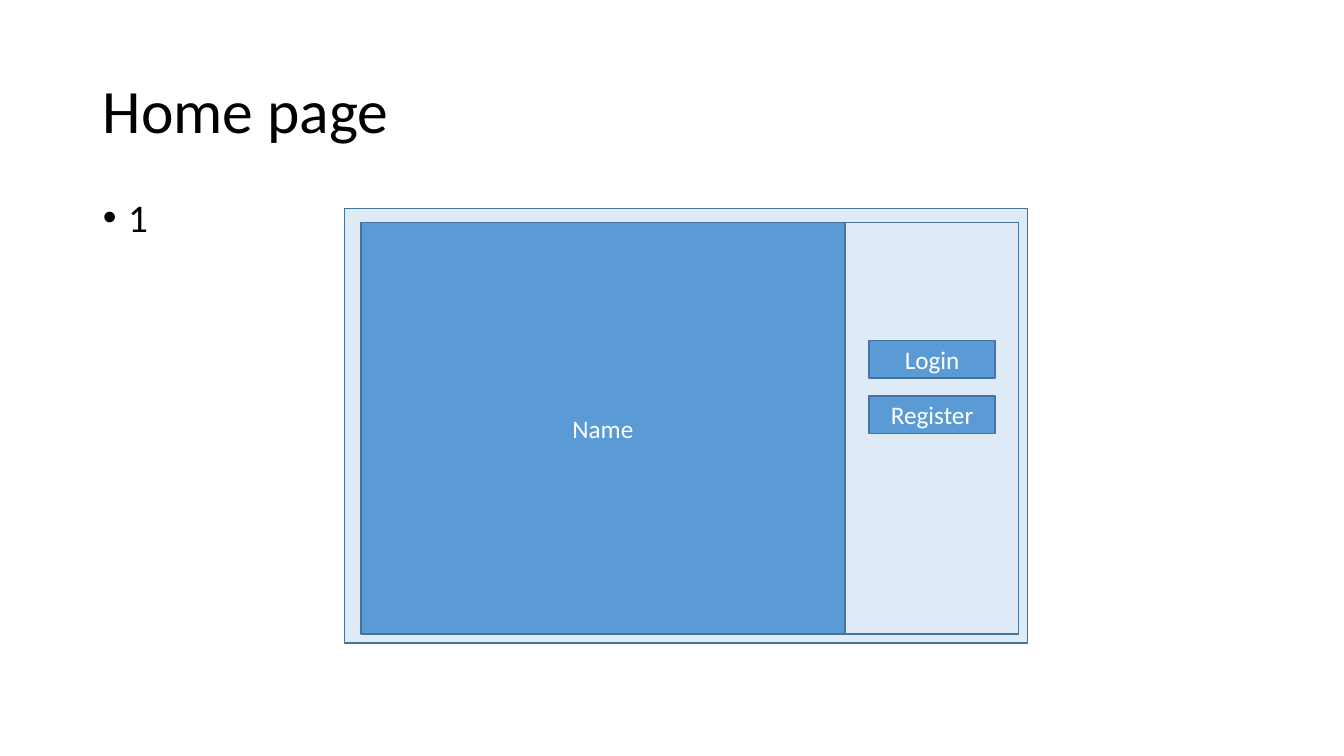
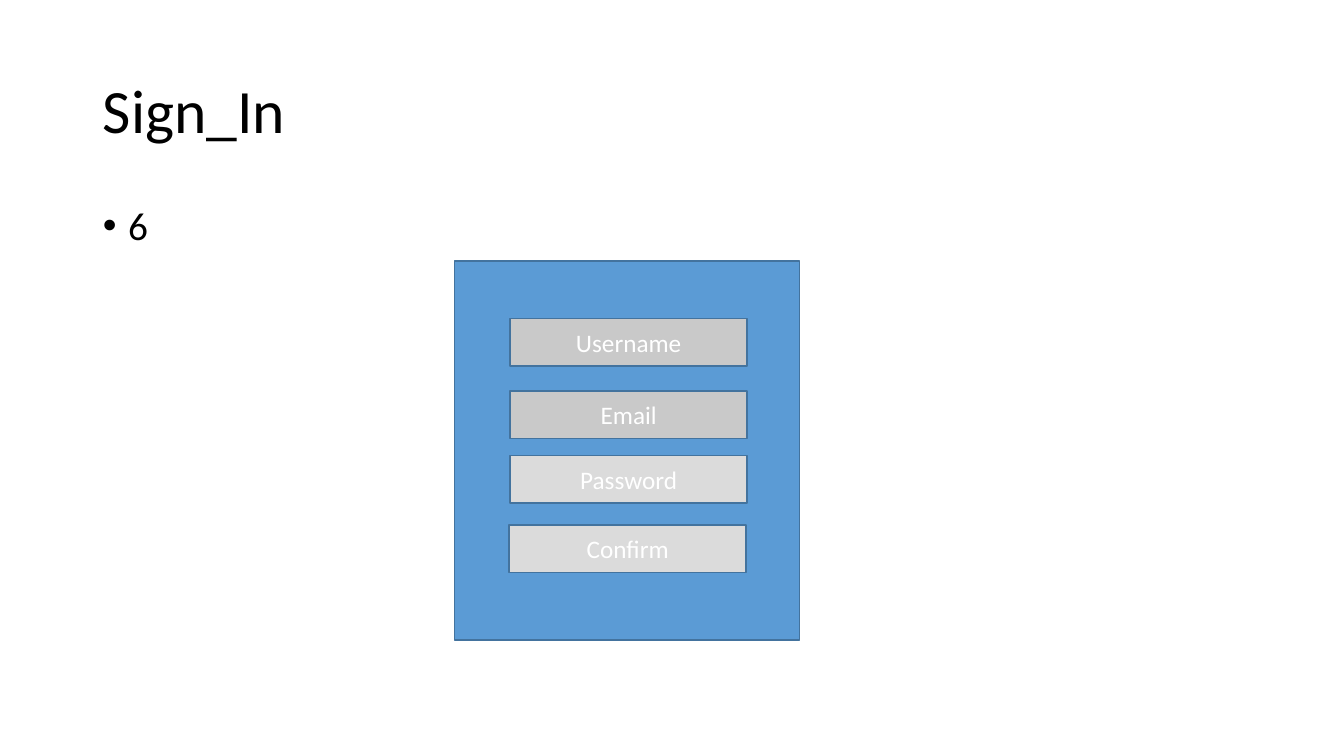
from dataclasses import dataclass

from pptx import Presentation
from pptx import util as u
from pptx.dml.color import RGBColor
from pptx.enum import shapes, text


@dataclass(frozen=True)
class Theme:
    font: str = "Calibri"
    ink: str = "000000"
    white: str = "FFFFFF"
    blue: str = "5B9BD5"
    pale: str = "DEEBF7"
    outline: str = "43739E"
    grey: str = "C9C9C9"
    light_grey: str = "DBDBDB"
    title_size: int = 44
    body_size: int = 28
    label_size: int = 18


@dataclass(frozen=True)
class Box:
    left: float
    top: float
    width: float
    height: float

    def inner(self, left, top, width, height):
        return Box(self.left + left, self.top + top, width, height)

    def lengths(self):
        return [u.Inches(side) for side in (self.left, self.top, self.width, self.height)]


THEME = Theme()
TITLE_BOX = Box(0.92, 0.4, 11.5, 1.45)


def write(frame, words, size, color=THEME.ink, align=text.PP_ALIGN.LEFT,
          anchor=text.MSO_ANCHOR.MIDDLE, spacing=1.0, before=0):
    frame.word_wrap = True
    frame.vertical_anchor = anchor
    para = frame.paragraphs[0]
    para.alignment = align
    para.line_spacing = spacing
    para.space_before = u.Pt(before)
    span = para.add_run()
    span.text = words
    span.font.name = THEME.font
    span.font.size = u.Pt(size)
    span.font.color.rgb = RGBColor.from_string(color)
    return para


def place(holder, box):
    holder.left, holder.top, holder.width, holder.height = box.lengths()


def add_page(deck, title, number, body_top):
    page = deck.slides.add_slide(deck.slide_layouts[1])
    heading, body = page.shapes.title, page.placeholders[1]
    place(heading, TITLE_BOX)
    write(heading.text_frame, title, THEME.title_size, spacing=0.9)
    place(body, Box(TITLE_BOX.left, body_top, TITLE_BOX.width, 4.76))
    para = write(body.text_frame, number, THEME.body_size,
                 anchor=text.MSO_ANCHOR.TOP, spacing=0.9, before=10)
    properties = para._p.get_or_add_pPr()
    properties.set("marL", str(u.Inches(0.25)))
    properties.set("indent", str(u.Inches(-0.25)))
    return page


def add_panel(page, box, fill, label=None):
    panel = page.shapes.add_shape(shapes.MSO_SHAPE.RECTANGLE, *box.lengths())
    panel.shadow.inherit = False
    panel.fill.solid()
    panel.fill.fore_color.rgb = RGBColor.from_string(fill)
    panel.line.color.rgb = RGBColor.from_string(THEME.outline)
    panel.line.width = u.Pt(1)
    if label:
        write(panel.text_frame, label, THEME.label_size, color=THEME.white,
              align=text.PP_ALIGN.CENTER)


def draw_home(page, box):
    sidebar = box.inner(4.96, 0.14, 1.72, 4.08)
    add_panel(page, box, THEME.pale)
    add_panel(page, box.inner(0.16, 0.14, 4.8, 4.08), THEME.blue, "Name")
    add_panel(page, sidebar, THEME.pale)
    for row, label in enumerate(("Login", "Register")):
        add_panel(page, sidebar.inner(0.24, 1.17 + 0.55 * row, 1.25, 0.37),
                  THEME.blue, label)


def draw_sign_in(page, box):
    fields = (
        ("Username", 0.55, 0.57, THEME.grey),
        ("Email", 0.55, 1.29, THEME.grey),
        ("Password", 0.55, 1.93, THEME.light_grey),
        ("Confirm", 0.54, 2.62, THEME.light_grey),
    )
    add_panel(page, box, THEME.blue)
    for label, left, top, fill in fields:
        add_panel(page, box.inner(left, top, 2.35, 0.47), fill, label)


def build():
    deck = Presentation()
    deck.slide_width, deck.slide_height = u.Inches(13.33), u.Inches(7.5)
    draw_home(add_page(deck, "Home page", "1", 1.92), Box(3.42, 2.07, 6.77, 4.31))
    draw_sign_in(add_page(deck, "Sign_In", "6", 2), Box(4.51, 2.59, 3.42, 3.76))
    deck.save("out.pptx")


build()
